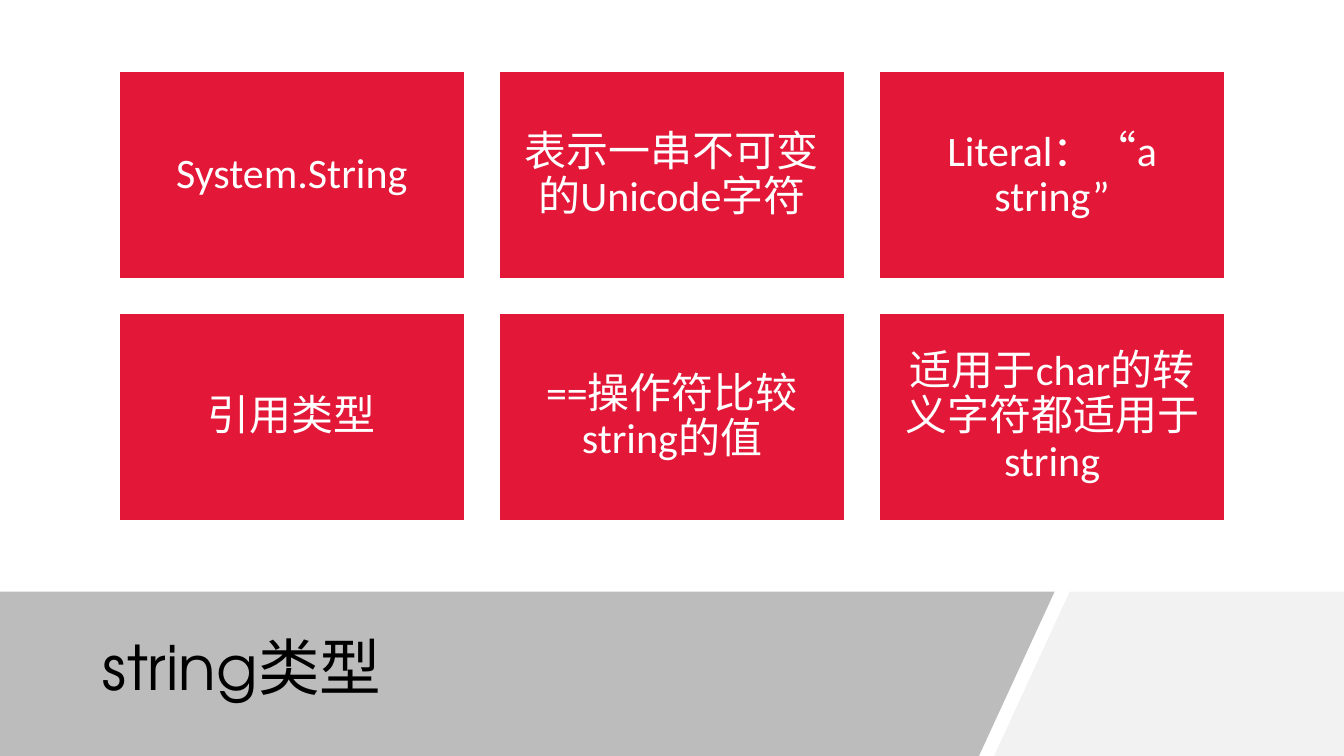
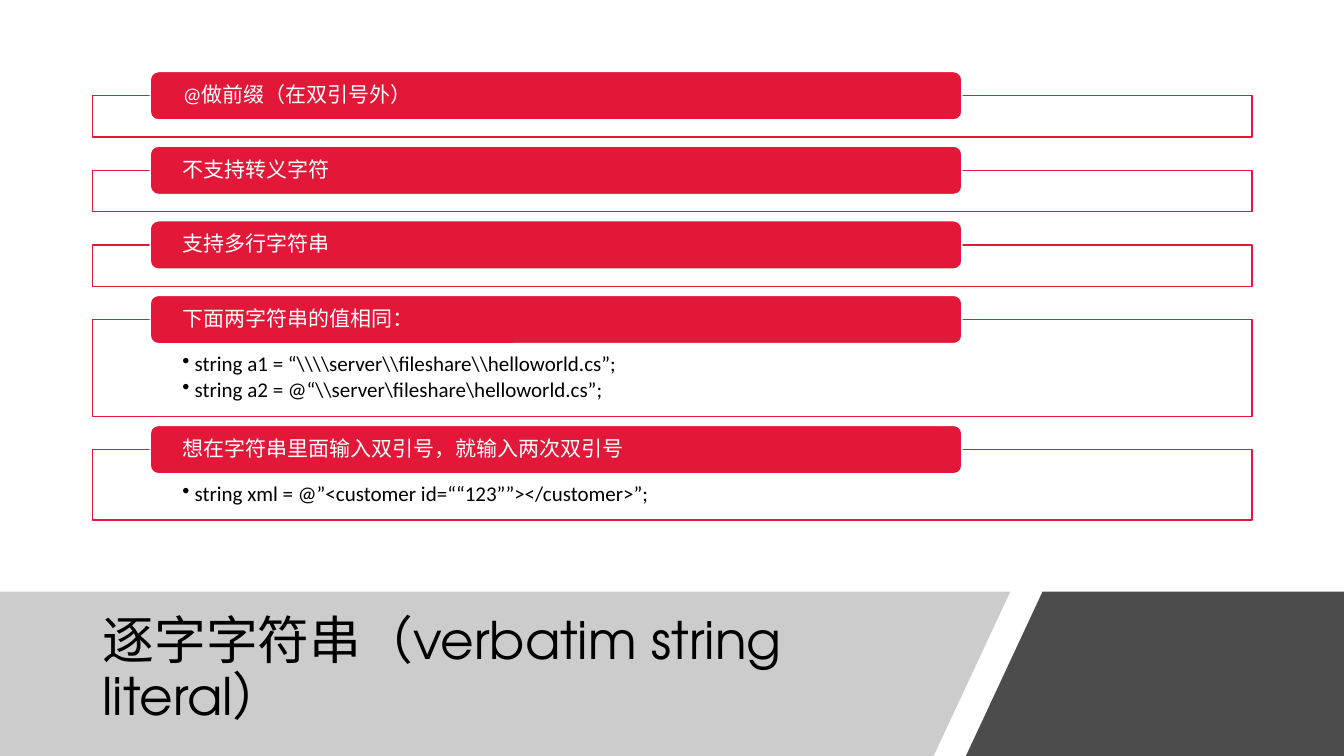
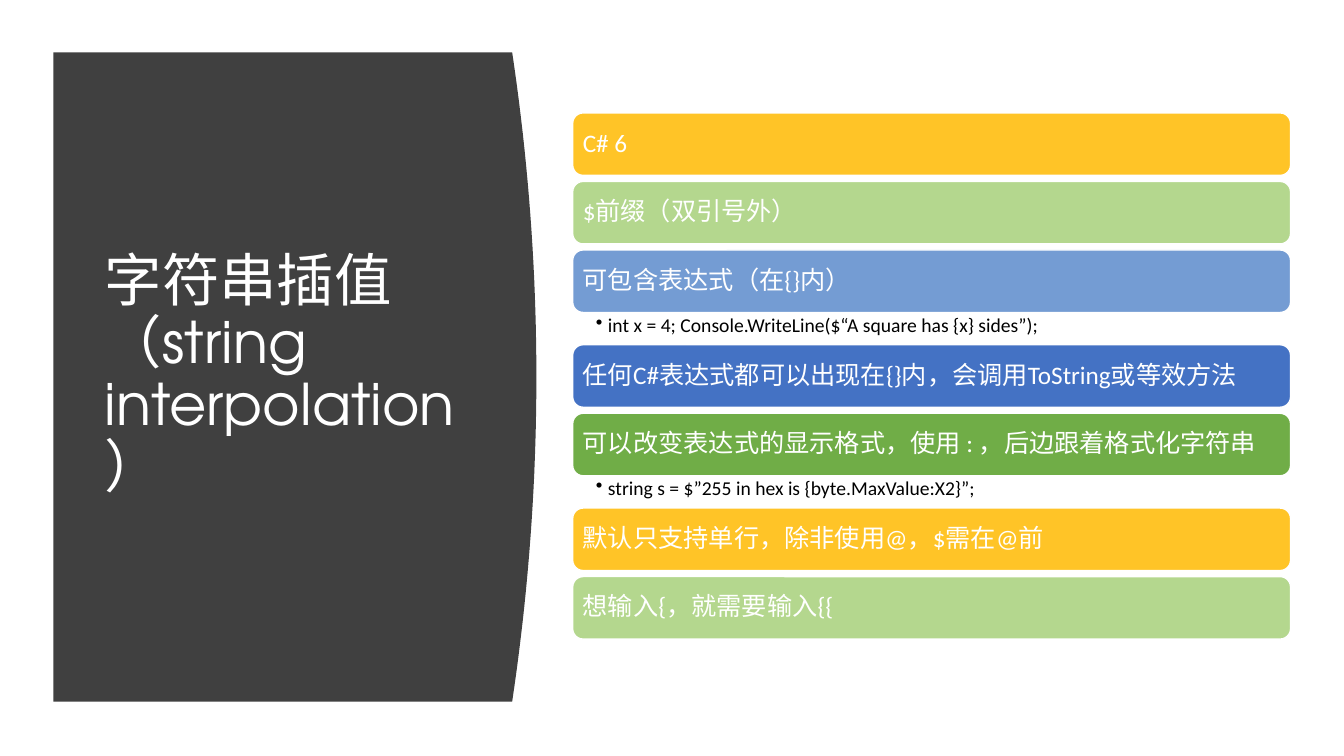
from dataclasses import dataclass
from itertools import cycle

from lxml import etree
from pptx import Presentation, util as u
from pptx.dml.color import RGBColor
from pptx.enum import shapes, text
from pptx.oxml.ns import qn

RED, WHITE, BLACK = "E31737", "FFFFFF", "000000"
ROW_COLOURS = ("FFC427", "B4D78E", "749CD3", "4472C4", "70AD47")
BODY_FONT, TITLE_FONT = "Calibri", "TeX Gyre Adventor"
BAND_TOP, SLIDE_WIDTH, SLIDE_HEIGHT = 5.87, 13.33, 7.5
RECT = shapes.MSO_SHAPE.RECTANGLE
ROUNDED = shapes.MSO_SHAPE.ROUNDED_RECTANGLE
TOP, MIDDLE = text.MSO_ANCHOR.TOP, text.MSO_ANCHOR.MIDDLE
LEFT, CENTER = text.PP_ALIGN.LEFT, text.PP_ALIGN.CENTER


@dataclass(frozen=True)
class Box:
    left: float
    top: float
    width: float
    height: float

    def inches(self) -> list:
        return [u.Inches(v) for v in (self.left, self.top, self.width, self.height)]


@dataclass(frozen=True)
class TextStyle:
    size: float
    colour: str = WHITE
    font: str = BODY_FONT
    align: int = LEFT
    anchor: int = MIDDLE
    insets: tuple = (0.1, 0.05, 0.1, 0.05)
    bullet: bool = False


@dataclass(frozen=True)
class Topic:
    heading: str
    examples: tuple = ()
    frame_height: float = 0.41


CARD_TEXT = TextStyle(30, align=CENTER, insets=(0.12,) * 4)
PILL_TEXT = TextStyle(15, insets=(0.3, 0, 0.3, 0))
FRAME_TEXT = TextStyle(15, BLACK, anchor=TOP, insets=(0.89, 0.34, 0.89, 0.12), bullet=True)
ROW_TEXT = TextStyle(18, insets=(0.07,) * 4)
NOTE_TEXT = TextStyle(14, BLACK, anchor=TOP, insets=(0.23, 0.03, 0.14, 0.03), bullet=True)

CARDS = (
    "System.String",
    "表示一串不可变的Unicode字符",
    "Literal：“a string”",
    "引用类型",
    "==操作符比较string的值",
    "适用于char的转义字符都适用于string",
)
VERBATIM_TOPICS = (
    Topic("@做前缀（在双引号外）"),
    Topic("不支持转义字符"),
    Topic("支持多行字符串"),
    Topic(
        "下面两字符串的值相同：",
        (
            r"string a1 = “\\\\server\\fileshare\\helloworld.cs”;",
            r"string a2 = @“\\server\fileshare\helloworld.cs”;",
        ),
        0.96,
    ),
    Topic(
        "想在字符串里面输入双引号，就输入两次双引号",
        ("string xml = @”<customer id=““123””></customer>”;",),
        0.7,
    ),
)
INTERPOLATION_TOPICS = (
    Topic("C# 6"),
    Topic("$前缀（双引号外）"),
    Topic("可包含表达式（在{}内）", ("int x = 4; Console.WriteLine($“A square has {x} sides”);",)),
    Topic("任何C#表达式都可以出现在{}内，会调用ToString或等效方法"),
    Topic(
        "可以改变表达式的显示格式，使用 : ，后边跟着格式化字符串",
        ("string s = $”255 in hex is {byte.MaxValue:X2}”;",),
    ),
    Topic("默认只支持单行，除非使用@，$需在@前"),
    Topic("想输入{，就需要输入{{"),
)


def rgb(colour: str) -> RGBColor:
    return RGBColor.from_string(colour)


def paint(shape, fill: str, line: str | None = None, opacity: int = 100) -> None:
    shape.shadow.inherit = False
    shape.fill.solid()
    shape.fill.fore_color.rgb = rgb(fill)
    if opacity < 100:
        colour = shape.element.spPr.find(qn("a:solidFill"))[0]
        etree.SubElement(colour, qn("a:alpha"), val=str(opacity * 1000))
    if line:
        shape.line.color.rgb = rgb(line)
        shape.line.width = u.Pt(1)
    else:
        shape.line.fill.background()


def add_bullet(paragraph) -> None:
    properties = paragraph._p.get_or_add_pPr()
    indent = u.Inches(0.12)
    properties.set("marL", str(indent))
    properties.set("indent", str(-indent))
    etree.SubElement(properties, qn("a:buChar"), char="•")


def write(shape, lines: tuple, style: TextStyle) -> None:
    frame = shape.text_frame
    left, top, right, bottom = (u.Inches(v) for v in style.insets)
    settings = {
        "word_wrap": True,
        "vertical_anchor": style.anchor,
        "margin_left": left,
        "margin_top": top,
        "margin_right": right,
        "margin_bottom": bottom,
    }
    for name, value in settings.items():
        setattr(frame, name, value)
    for index, line in enumerate(lines):
        paragraph = frame.add_paragraph() if index else frame.paragraphs[0]
        layout = {"alignment": style.align, "line_spacing": 0.9}
        if len(lines) > 1:
            layout["space_after"] = u.Pt(2)
        for name, value in layout.items():
            setattr(paragraph, name, value)
        if style.bullet:
            add_bullet(paragraph)
        run = paragraph.add_run()
        run.text = line
        for name, value in {"size": u.Pt(style.size), "name": style.font}.items():
            setattr(run.font, name, value)
        run.font.color.rgb = rgb(style.colour)


def add_panel(slide, kind: int, box: Box, fill: str, line: str = WHITE, opacity: int = 100):
    panel = slide.shapes.add_shape(kind, *box.inches())
    paint(panel, fill, line, opacity)
    return panel


def add_text(slide, box: Box, lines: tuple, style: TextStyle) -> None:
    write(slide.shapes.add_textbox(*box.inches()), lines, style)


def add_title(slide, box: Box, title: str, size: float, colour: str = BLACK) -> None:
    add_text(slide, box, (title,), TextStyle(size, colour, TITLE_FONT))


def add_outline(slide, points: list, fill: str, opacity: int = 100) -> None:
    corners = [(u.Inches(x), u.Inches(y)) for x, y in points]
    builder = slide.shapes.build_freeform(*corners[0], scale=1.0)
    builder.add_line_segments(corners[1:], close=True)
    paint(builder.convert_to_shape(), fill, opacity=opacity)


def add_band(slide, left: tuple, right: tuple, fill: str, opacity: int = 100) -> None:
    """Fill the foot of the slide between two edges, each given as (top x, bottom x)."""
    points = [
        (left[0], BAND_TOP),
        (right[0], BAND_TOP),
        (right[1], SLIDE_HEIGHT),
        (left[1], SLIDE_HEIGHT),
    ]
    add_outline(slide, points, fill, opacity)


def build_string_type(slide) -> None:
    add_band(slide, (10.61, 9.86), (SLIDE_WIDTH, SLIDE_WIDTH), "F2F2F2")
    add_band(slide, (0, 0), (10.46, 9.71), "595959", 40)
    add_title(slide, Box(0.92, 6.05, 8.83, 1.2), "string类型", 44)
    width, height, gap = 3.43, 2.06, 0.34
    for index, card in enumerate(CARDS):
        row, column = divmod(index, 3)
        box = Box(1.18 + column * (width + gap), 0.71 + row * (height + gap), width, height)
        write(add_panel(slide, RECT, box, RED), (card,), CARD_TEXT)


def build_verbatim(slide) -> None:
    add_band(slide, (0, 0), (10.02, 9.26), "808080", 40)
    add_title(slide, Box(0.92, 6.05, 8.44, 1.2), "逐字字符串（verbatim string literal）", 37)
    add_band(slide, (10.34, 9.58), (SLIDE_WIDTH, SLIDE_WIDTH), BLACK, 70)
    top, overlap, gap = 0.71, 0.24, 0.09
    for topic in VERBATIM_TOPICS:
        frame_box = Box(0.92, top + overlap, 11.5, topic.frame_height)
        frame = add_panel(slide, RECT, frame_box, WHITE, RED, 90)
        if topic.examples:
            write(frame, topic.examples, FRAME_TEXT)
        pill = add_panel(slide, ROUNDED, Box(1.49, top, 8.05, 0.48), RED)
        write(pill, (topic.heading,), PILL_TEXT)
        top += overlap + topic.frame_height + gap


def build_interpolation(slide) -> None:
    left, edge, bulge, top, bottom, steps = 0.53, 5.08, 0.24, 0.52, 6.96, 40
    curve = []
    for step in range(steps + 1):
        t = step / steps
        curve.append((edge + bulge * 4 * t * (1 - t), top + (bottom - top) * t))
    add_outline(slide, [(left, top), *curve, (left, bottom)], "404040")
    add_title(slide, Box(0.94, 1.11, 3.74, 5.24), "字符串插值（string interpolation）", 41, WHITE)

    row_left, row_top, width, height, gap, note_height = 5.68, 1.12, 7.12, 0.62, 0.06, 0.32
    for topic, colour in zip(INTERPOLATION_TOPICS, cycle(ROW_COLOURS)):
        row = add_panel(slide, ROUNDED, Box(row_left, row_top, width, height), colour)
        write(row, (topic.heading,), ROW_TEXT)
        row_top += height
        if topic.examples:
            add_text(slide, Box(row_left, row_top, width, note_height), topic.examples, NOTE_TEXT)
            row_top += note_height
        else:
            row_top += gap


def main() -> None:
    deck = Presentation()
    deck.slide_width = u.Inches(SLIDE_WIDTH)
    deck.slide_height = u.Inches(SLIDE_HEIGHT)
    for build in (build_string_type, build_verbatim, build_interpolation):
        build(deck.slides.add_slide(deck.slide_layouts[6]))
    deck.save("out.pptx")


if __name__ == "__main__":
    main()
